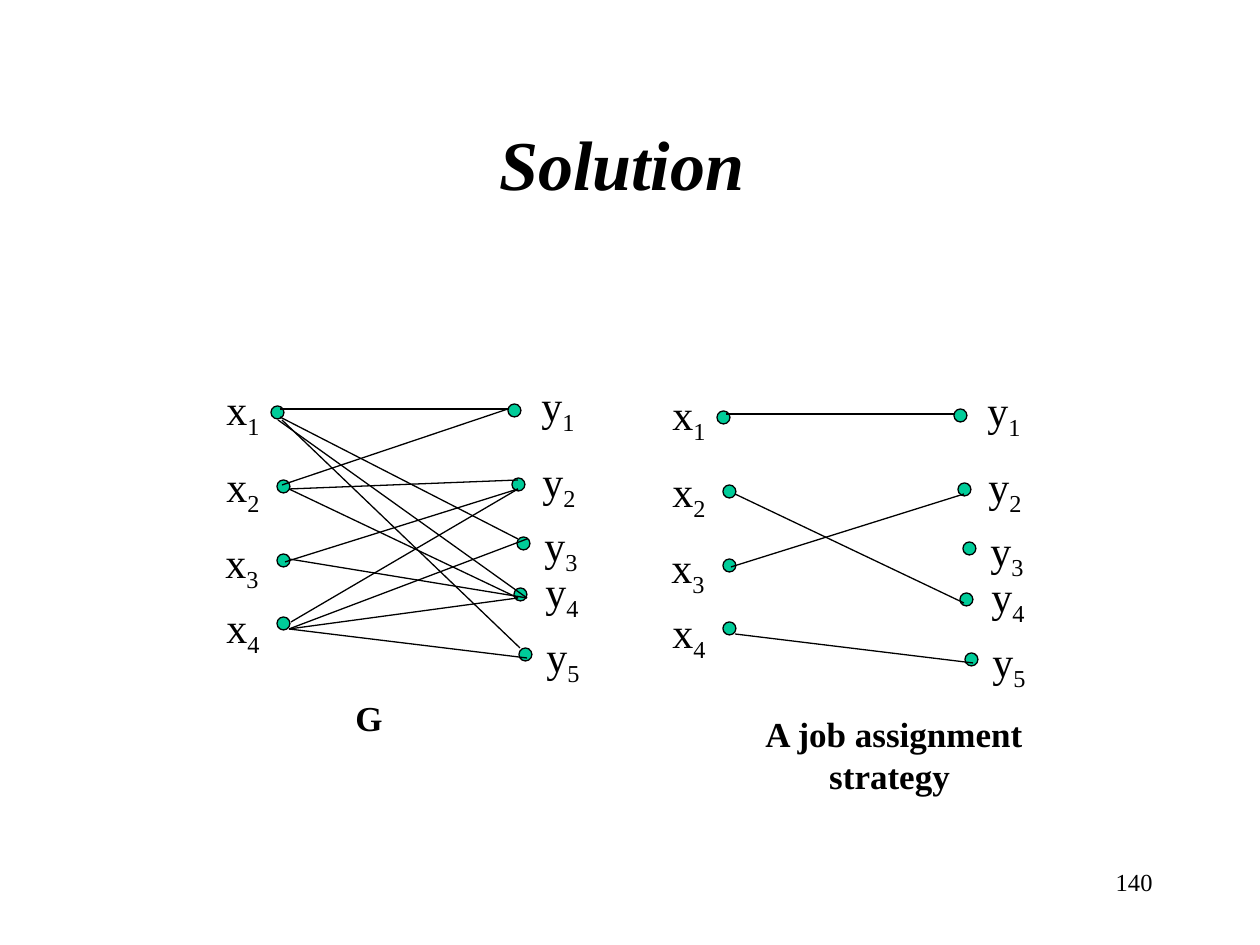
from lxml.etree import SubElement
from pptx import Presentation
from pptx.dml.color import RGBColor
from pptx.enum.shapes import MSO_CONNECTOR as Connector, MSO_SHAPE as Shape
from pptx.enum.text import MSO_ANCHOR as Anchor, PP_ALIGN as Align
from pptx.oxml.ns import qn
from pptx.util import Emu, Pt

EMU_PER_PX = 914400 // 126
FONT = "Times New Roman"
BLACK, GREEN = "000000", "00CC99"
DOT = 13

# Vertex: dot corner and label corner, in px from the graph's corner
VERTICES = {
    "x1": ((57, 33), (0, 4)),
    "x2": ((63, 107), (0, 81)),
    "x3": ((63, 181), (-1, 157)),
    "x4": ((63, 244), (0, 222)),
    "y1": ((294, 31), (315, 0)),
    "y2": ((298, 105), (316, 76)),
    "y3": ((303, 164), (318, 140)),
    "y4": ((300, 215), (319, 186)),
    "y5": ((305, 275), (320, 251)),
}

# Edge: start and end, in px from the graph's corner
EDGES = {
    "x1y1": ((66, 36), (294, 36)),
    "x2y1": ((68, 112), (294, 36)),
    "x3y2": ((71, 189), (304, 116)),
    "x4y2": ((77, 249), (304, 116)),
    "x1y3": ((66, 44), (304, 166)),
    "x1y4": ((64, 47), (313, 225)),
    "x1y5": ((68, 47), (306, 275)),
    "x2y2": ((75, 116), (304, 107)),
    "x2y4": ((75, 116), (304, 225)),
    "x4y3": ((75, 256), (313, 166)),
    "x4y4": ((75, 256), (304, 225)),
    "x4y5": ((75, 256), (313, 285)),
    "x3y4": ((75, 186), (313, 225)),
}
ASSIGNMENT = ["x1y1", "x3y2", "x2y4", "x4y5"]


def px(*lengths):
    return [Emu(length * EMU_PER_PX) for length in lengths]


def color(hex_string):
    return RGBColor.from_string(hex_string)


def add_text(slide, box, text, size, bold=False, italic=False,
             align=Align.LEFT, anchor=Anchor.TOP):
    frame = slide.shapes.add_textbox(*px(*box)).text_frame
    frame.word_wrap = True
    frame.vertical_anchor = anchor
    frame.text = text
    paragraph = frame.paragraphs[0]
    paragraph.alignment = align
    for run in paragraph.runs:
        style_run(run, size, bold, italic)
    return paragraph


def style_run(run, size, bold=False, italic=False):
    font = run.font
    font.name, font.size = FONT, Pt(size)
    font.bold, font.italic = bold, italic
    font.color.rgb = color(BLACK)


def style_line(line):
    line.color.rgb = color(BLACK)
    line.width = Pt(0.75)


def add_dot(slide, left, top):
    dot = slide.shapes.add_shape(Shape.OVAL, *px(left, top, DOT, DOT))
    dot.shadow.inherit = False
    dot.fill.solid()
    dot.fill.fore_color.rgb = color(GREEN)
    style_line(dot.line)


def add_edge(slide, start, end):
    edge = slide.shapes.add_connector(Connector.STRAIGHT, *px(*start, *end))
    style_line(edge.line)
    SubElement(edge._element.spPr, qn("a:effectLst"))


def add_label(slide, left, top, name):
    letter, index = name
    paragraph = add_text(slide, (left, top, 67, 71), letter, 24)
    subscript = paragraph.add_run()
    subscript.text = index
    style_run(subscript, 24)
    subscript.font._element.set("baseline", "-25000")


def add_graph(slide, left, top, edges, caption, caption_box, align):
    def place(point):
        return left + point[0], top + point[1]

    # Vertices
    for dot, _ in VERTICES.values():
        add_dot(slide, *place(dot))
    # Edges
    for name in edges:
        start, end = EDGES[name]
        add_edge(slide, place(start), place(end))
    # Labels and caption
    for name, (_, label) in VERTICES.items():
        add_label(slide, *place(label), name)
    box = (*place(caption_box[:2]), *caption_box[2:])
    add_text(slide, box, caption, 20, bold=True, align=align)


def add_title(slide, box):
    add_text(slide, box, "Solution ", 40, bold=True, italic=True,
             align=Align.CENTER, anchor=Anchor.MIDDLE)


def add_page_number(slide, box):
    add_text(slide, box, "140", 14, align=Align.RIGHT)


def main():
    presentation = Presentation()
    presentation.slide_width, presentation.slide_height = px(1260, 945)
    slide = presentation.slides.add_slide(presentation.slide_layouts[6])

    add_page_number(slide, (903, 861, 262, 63))
    add_title(slide, (95, 84, 1071, 158))
    add_graph(slide, 214, 373, EDGES, "G", (129, 317, 100, 55), Align.LEFT)
    add_graph(slide, 660, 378, ASSIGNMENT, "A job assignment strategy ",
              (70, 328, 328, 97), Align.CENTER)

    presentation.save("out.pptx")


if __name__ == "__main__":
    main()
